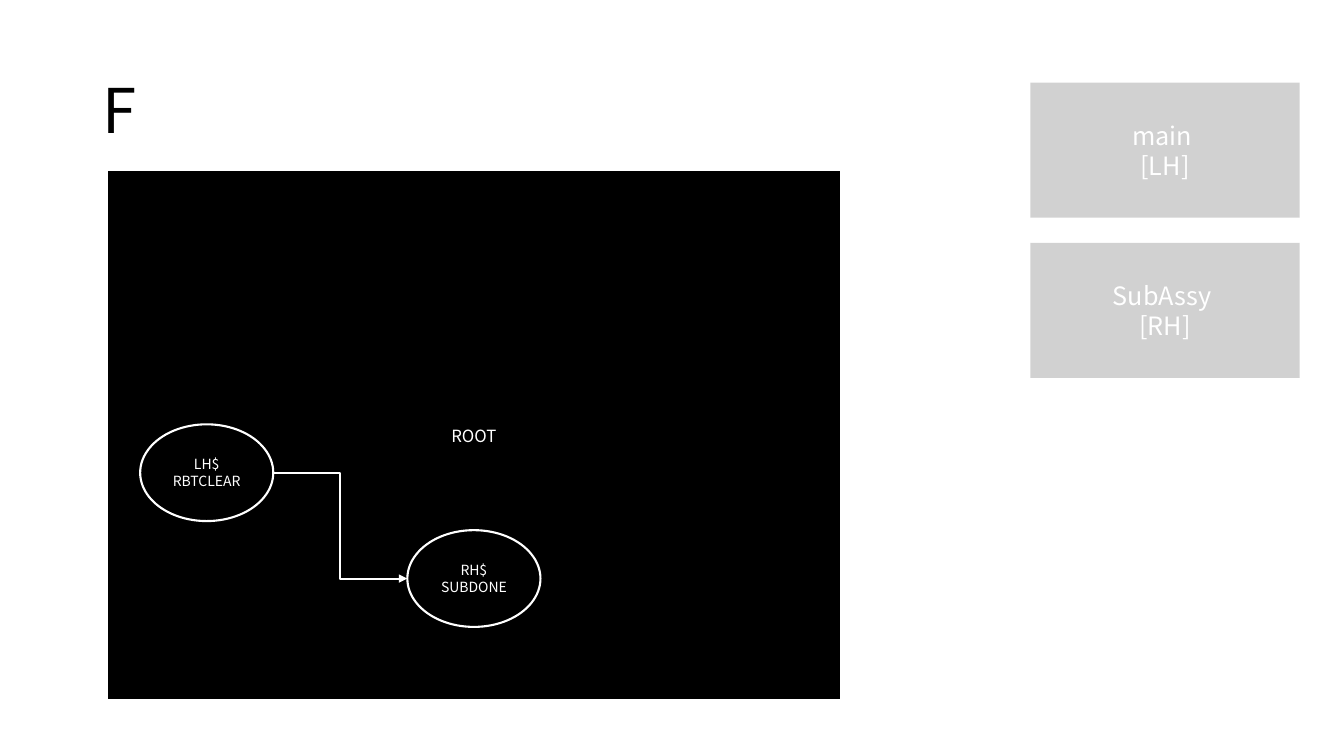
from lxml import etree
from pptx import Presentation
from pptx.dml.color import RGBColor
from pptx.enum.shapes import MSO_CONNECTOR, MSO_SHAPE
from pptx.enum.text import MSO_ANCHOR, PP_ALIGN
from pptx.oxml.ns import qn
from pptx.util import Inches, Pt

RECTANGLE = MSO_SHAPE.RECTANGLE
ELLIPSE = MSO_SHAPE.OVAL
FOLDED_CORNER = MSO_SHAPE.FOLDED_CORNER
ELBOW = MSO_CONNECTOR.ELBOW
MIDDLE = MSO_ANCHOR.MIDDLE
LEFT, CENTER = PP_ALIGN.LEFT, PP_ALIGN.CENTER

FONT = "Noto Sans CJK KR"
COLORS = {"black": "000000", "white": "FFFFFF", "note": "A5A5A5"}
LINE_WIDTH = Pt(1.5)


def color(name):
    return RGBColor.from_string(COLORS[name])


def write(shape, lines, size, color_name, align=CENTER, spacing=None):
    frame = shape.text_frame
    frame.word_wrap = True
    frame.vertical_anchor = MIDDLE
    for index, line in enumerate(lines):
        para = frame.paragraphs[0] if index == 0 else frame.add_paragraph()
        para.alignment = align
        if spacing:
            para.line_spacing = spacing
        span = para.add_run()
        span.text = line
        span.font.name = FONT
        span.font.size = Pt(size)
        span.font.color.rgb = color(color_name)


def add_title(page, text):
    box = page.shapes.add_textbox(Inches(0.92), Inches(0.4), Inches(11.5), Inches(1.45))
    write(box, [text], 44, "black", LEFT, 0.9)


def add_filled(page, kind, place, fill):
    shape = page.shapes.add_shape(kind, *map(Inches, place))
    shape.shadow.inherit = False
    shape.fill.solid()
    shape.fill.fore_color.rgb = color(fill)
    return shape


def add_node(page, kind, place, lines, size):
    """Add a black shape with a white outline and white text."""
    node = add_filled(page, kind, place, "black")
    node.line.color.rgb = color("white")
    node.line.width = LINE_WIDTH
    write(node, lines, size, "white")
    return node


def add_note(page, top, lines):
    """Add a half-transparent grey note whose corner is not folded."""
    note = add_filled(page, FOLDED_CORNER, (10.22, top, 2.67, 1.34), "note")
    note.line.fill.background()
    properties = note._element.spPr
    guides = properties.find(qn("a:prstGeom")).find(qn("a:avLst"))
    etree.SubElement(guides, qn("a:gd"), name="adj", fmla="val 0")
    tint = properties.find(qn("a:solidFill"))[0]
    etree.SubElement(tint, qn("a:alpha"), val="50000")
    write(note, lines, 18, "white")


def add_arrow(page, start, end):
    """Join the right side of one node to the left side of another."""
    arrow = page.shapes.add_connector(
        ELBOW,
        start.left + start.width, start.top + start.height // 2,
        end.left, end.top + end.height // 2,
    )
    arrow.line.color.rgb = color("white")
    arrow.line.width = LINE_WIDTH
    properties = arrow._element.spPr
    etree.SubElement(properties.find(qn("a:ln")), qn("a:tailEnd"), type="triangle")
    etree.SubElement(properties, qn("a:effectLst"))


def main():
    deck = Presentation()
    deck.slide_width, deck.slide_height = Inches(13.33), Inches(7.5)
    page = deck.slides.add_slide(deck.slide_layouts[6])

    add_title(page, "F")
    add_note(page, 0.82, ["main ", "[LH]"])
    add_node(page, RECTANGLE, (1.06, 1.69, 7.28, 5.26), ["ROOT"], 12)
    clear = add_node(page, ELLIPSE, (1.39, 4.21, 1.32, 0.96), ["LH$", "RBTCLEAR"], 10)
    done = add_node(page, ELLIPSE, (4.04, 5.26, 1.32, 0.96), ["RH$", "SUBDONE"], 10)
    add_arrow(page, clear, done)
    add_note(page, 2.41, ["SubAssy ", "[RH]"])

    deck.save("out.pptx")


if __name__ == "__main__":
    main()
